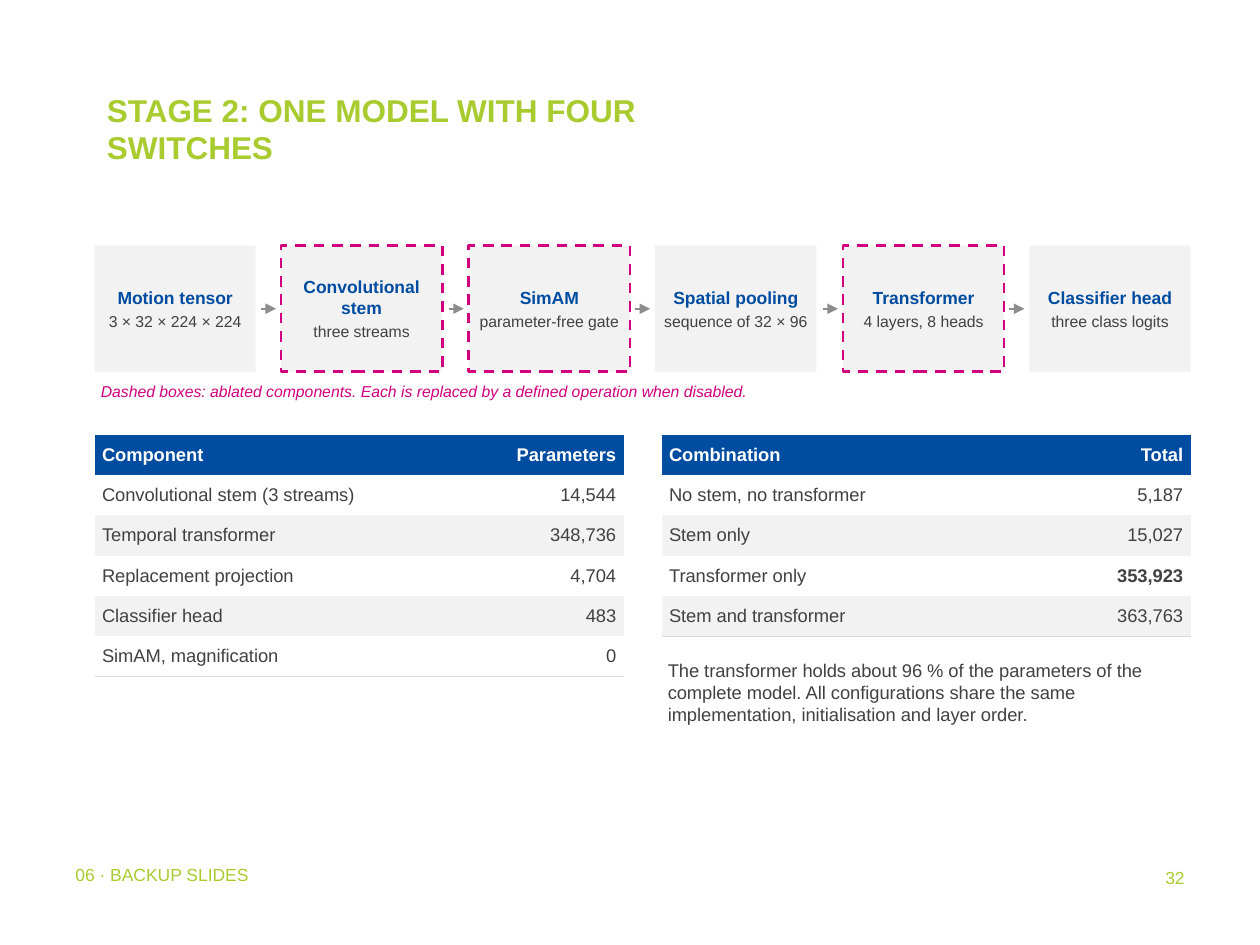
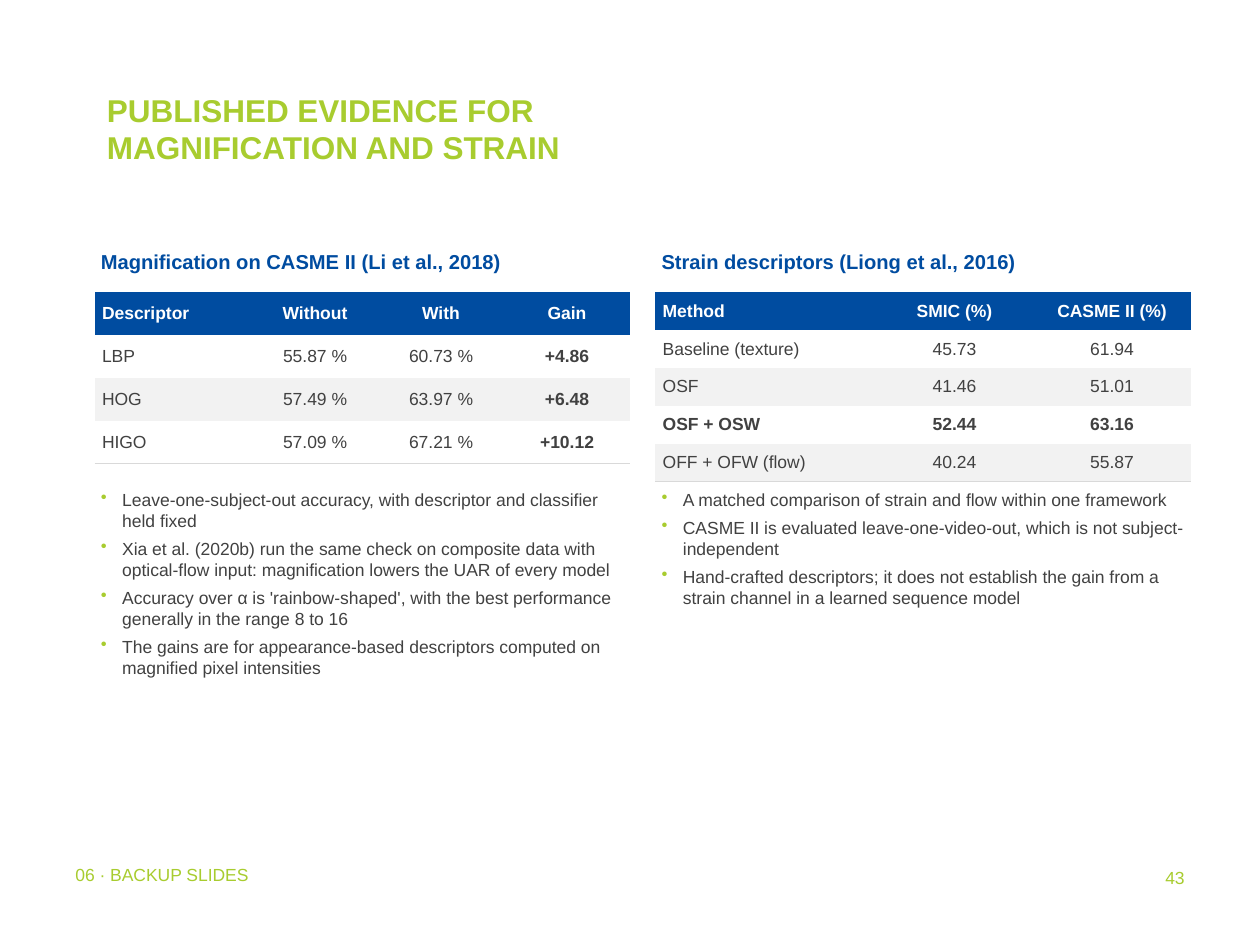
from lxml.etree import SubElement
from pptx import Presentation
from pptx.dml.color import RGBColor
from pptx.enum.dml import MSO_LINE
from pptx.enum.shapes import MSO_CONNECTOR, MSO_SHAPE
from pptx.enum.text import MSO_ANCHOR as ANCHOR, PP_ALIGN as ALIGN
from pptx.oxml.ns import qn
from pptx.util import Pt

PX = 9144  # 100 px to the inch
FONT = "Arial"
GREEN = RGBColor(0xA8, 0xCC, 0x2F)
BLUE = RGBColor(0x00, 0x4C, 0xA0)
MAGENTA = RGBColor(0xD2, 0x00, 0x7E)
TEXT = RGBColor(0x41, 0x41, 0x41)
ARROW = RGBColor(0x8C, 0x8C, 0x8C)
PALE = RGBColor(0xF2, 0xF2, 0xF2)
WHITE = RGBColor(0xFF, 0xFF, 0xFF)
RULE = "D9D9D9"
NO_STYLE = "{2D5ABB26-0587-4C30-8999-92F81FD0307C}"
LEFT, TOP, WIDTH = 75, 195, 870


def write(where, text, box=None, size=10, color=TEXT, bold=False, italic=False,
          align=ALIGN.LEFT, anchor=ANCHOR.TOP, inset=(5, 3), after=0, bullet=False):
    """Add a paragraph to a shape or cell, or to a new text box on a slide if box is given."""
    if box:
        where = where.shapes.add_textbox(*[v * PX for v in box])
        tf = where.text_frame
        tf.word_wrap = True
        tf.vertical_anchor = anchor
        tf.margin_left = tf.margin_right = inset[0] * PX
        tf.margin_top = tf.margin_bottom = inset[1] * PX
    tf = where.text_frame
    p = tf.add_paragraph() if tf.text else tf.paragraphs[0]
    p.alignment = align
    p.space_after = Pt(after)
    if bullet:
        pPr = p._p.get_or_add_pPr()
        pPr.set("marL", str(17 * PX))
        pPr.set("indent", str(-17 * PX))
        SubElement(SubElement(pPr, qn("a:buClr")), qn("a:srgbClr"), val=str(GREEN))
        SubElement(pPr, qn("a:buChar"), char="•")
    r = p.add_run()
    r.text = text
    r.font.name, r.font.size = FONT, Pt(size)
    r.font.bold, r.font.italic = bold, italic
    r.font.color.rgb = color
    return where


def add_table(s, left, top, widths, height, rows, size, align, is_bold):
    """Draw a banded table; align applies to every column after the first."""
    frame = s.shapes.add_table(len(rows), len(widths), left * PX, top * PX,
                               sum(widths) * PX, height * len(rows) * PX)
    table = frame.table
    table.first_row = table.horz_banding = False
    table._tbl.tblPr.find(qn("a:tableStyleId")).text = NO_STYLE
    for column, width in zip(table.columns, widths):
        column.width = width * PX
    for i, row in enumerate(rows):
        table.rows[i].height = height * PX
        for j, value in enumerate(row):
            cell = table.cell(i, j)
            cell.margin_left = cell.margin_right = 6 * PX
            cell.margin_top = cell.margin_bottom = 2 * PX
            cell.vertical_anchor = ANCHOR.MIDDLE
            if i == len(rows) - 1:
                ln = SubElement(cell._tc.get_or_add_tcPr(), qn("a:lnB"), w=str(Pt(0.75)))
                SubElement(SubElement(ln, qn("a:solidFill")), qn("a:srgbClr"), val=RULE)
            cell.fill.solid()
            cell.fill.fore_color.rgb = BLUE if i == 0 else WHITE if i % 2 else PALE
            write(cell, value, size=size, color=TEXT if i else WHITE,
                  bold=i == 0 or is_bold(i, j), align=align if j else ALIGN.LEFT)


prs = Presentation()
prs.slide_width, prs.slide_height = 1000 * PX, 750 * PX

# Title, section and page number on every slide
slides = []
for title, page in [("STAGE 2: ONE MODEL WITH FOUR SWITCHES", "32"),
                    ("PUBLISHED EVIDENCE FOR MAGNIFICATION AND STRAIN", "43")]:
    s = prs.slides.add_slide(prs.slide_layouts[6])
    write(s, title, (LEFT, 67, 542, 125), size=18, color=GREEN, bold=True, inset=(10, 5))
    write(s, "06 · BACKUP SLIDES", (50, 683, 567, 40), color=GREEN, inset=(10, 3))
    write(s, page, (742, 683, 208, 50), color=GREEN, align=ALIGN.RIGHT, inset=(10, 5))
    slides.append(s)
model, evidence = slides

# Model pipeline: name, detail, ablated
stages = [
    ("Motion tensor", "3 × 32 × 224 × 224", False),
    ("Convolutional stem", "three streams", True),
    ("SimAM", "parameter-free gate", True),
    ("Spatial pooling", "sequence of 32 × 96", False),
    ("Transformer", "4 layers, 8 heads", True),
    ("Classifier head", "three class logits", False),
]
STAGE_W, STAGE_H = 128, 100
step = (WIDTH - STAGE_W) / (len(stages) - 1)
for i, (name, detail, ablated) in enumerate(stages):
    x = round(LEFT + i * step)
    if i:
        y = (TOP + STAGE_H // 2) * PX
        arrow = model.shapes.add_connector(MSO_CONNECTOR.STRAIGHT, (x - 16) * PX, y,
                                           (x - 4) * PX, y)
        arrow.line.color.rgb = ARROW
        arrow.line.width = Pt(1.25)
        SubElement(arrow.line._get_or_add_ln(), qn("a:tailEnd"), type="triangle")
        SubElement(arrow._element.spPr, qn("a:effectLst"))
    sp = model.shapes.add_shape(MSO_SHAPE.RECTANGLE, x * PX, TOP * PX,
                                STAGE_W * PX, STAGE_H * PX)
    sp.shadow.inherit = False
    sp.fill.solid()
    sp.fill.fore_color.rgb = PALE
    if ablated:
        sp.line.color.rgb = MAGENTA
        sp.line.width = Pt(1.5)
        sp.line.dash_style = MSO_LINE.DASH
    else:
        sp.line.fill.background()
    label = write(model, name, (x + 4, TOP, STAGE_W - 8, STAGE_H), color=BLUE, bold=True,
                  align=ALIGN.CENTER, anchor=ANCHOR.MIDDLE, inset=(2, 3), after=2)
    write(label, detail, size=9, align=ALIGN.CENTER)

write(model, "Dashed boxes: ablated components. Each is replaced by a defined operation "
      "when disabled.", (LEFT, 300, WIDTH, 30), size=9, color=MAGENTA, italic=True)

# Parameter counts
add_table(model, LEFT, 345, [300, 120], 32, [
    ("Component", "Parameters"),
    ("Convolutional stem (3 streams)", "14,544"),
    ("Temporal transformer", "348,736"),
    ("Replacement projection", "4,704"),
    ("Classifier head", "483"),
    ("SimAM, magnification", "0"),
], 10.5, ALIGN.RIGHT, lambda i, j: False)
add_table(model, 525, 345, [290, 130], 32, [
    ("Combination", "Total"),
    ("No stem, no transformer", "5,187"),
    ("Stem only", "15,027"),
    ("Transformer only", "353,923"),
    ("Stem and transformer", "363,763"),
], 10.5, ALIGN.RIGHT, lambda i, j: (i, j) == (3, 1))
write(model, "The transformer holds about 96 % of the parameters of the complete model. "
      "All configurations share the same implementation, initialisation and layer order.",
      (525, 520, 420, 110), size=10.5)

# Published results: heading, column widths, row height, rows, bold rule, remarks
studies = [
    ("Magnification on CASME II (Li et al., 2018)", [125, 100, 100, 100], 34, [
        ("Descriptor", "Without", "With", "Gain"),
        ("LBP", "55.87 %", "60.73 %", "+4.86"),
        ("HOG", "57.49 %", "63.97 %", "+6.48"),
        ("HIGO", "57.09 %", "67.21 %", "+10.12"),
    ], lambda i, j: j == 3, [
        "Leave-one-subject-out accuracy, with descriptor and classifier held fixed",
        "Xia et al. (2020b) run the same check on composite data with optical-flow input: "
        "magnification lowers the UAR of every model",
        "Accuracy over α is 'rainbow-shaped', with the best performance generally in the "
        "range 8 to 16",
        "The gains are for appearance-based descriptors computed on magnified pixel "
        "intensities",
    ]),
    ("Strain descriptors (Liong et al., 2016)", [175, 125, 125], 30, [
        ("Method", "SMIC (%)", "CASME II (%)"),
        ("Baseline (texture)", "45.73", "61.94"),
        ("OSF", "41.46", "51.01"),
        ("OSF + OSW", "52.44", "63.16"),
        ("OFF + OFW (flow)", "40.24", "55.87"),
    ], lambda i, j: i == 3, [
        "A matched comparison of strain and flow within one framework",
        "CASME II is evaluated leave-one-video-out, which is not subject-independent",
        "Hand-crafted descriptors; it does not establish the gain from a strain channel "
        "in a learned sequence model",
    ]),
]
STUDY_W, STUDY_GAP = 425, 20
for n, (heading, widths, height, rows, is_bold, remarks) in enumerate(studies):
    x = LEFT + n * (STUDY_W + STUDY_GAP)
    write(evidence, heading, (x, TOP, STUDY_W, 32), size=11.5, color=BLUE, bold=True)
    add_table(evidence, x, 232, widths, height, rows, 10, ALIGN.CENTER, is_bold)
    notes = write(evidence, remarks[0], (x, 385, STUDY_W, 260), after=4, bullet=True)
    for remark in remarks[1:]:
        write(notes, remark, after=4, bullet=True)

prs.save("out.pptx")
